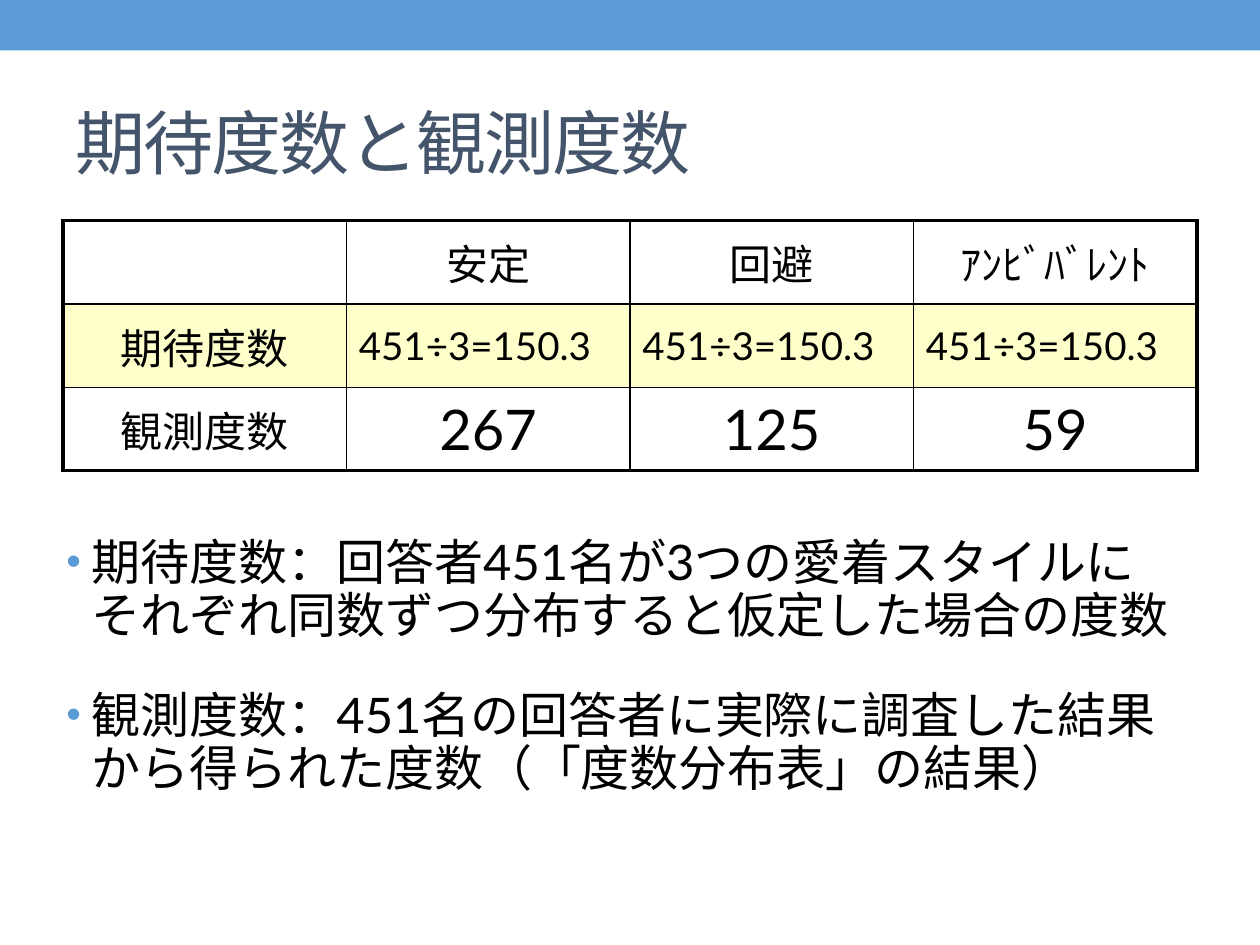
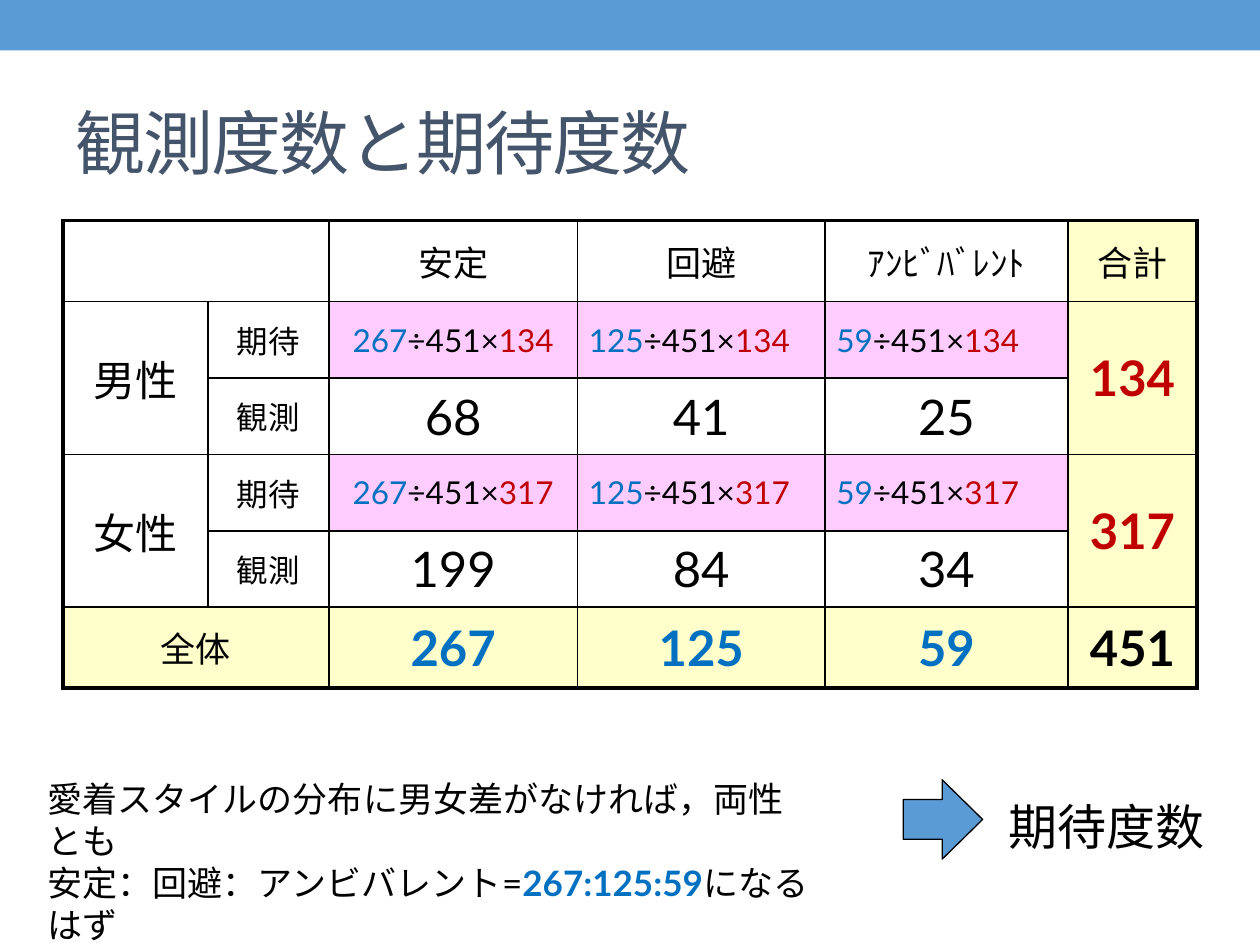
import pptx
import pptx.util
import pptx.dml.color
import pptx.enum.shapes
import pptx.enum.text
from lxml import etree
from pptx.util import Cm, Pt

RGB = pptx.dml.color.RGBColor
ALIGN = pptx.enum.text.PP_ALIGN
ANCHOR = pptx.enum.text.MSO_ANCHOR
SHAPE = pptx.enum.shapes.MSO_SHAPE

BLACK = RGB(0x00, 0x00, 0x00)
ACCENT = RGB(0x5B, 0x9B, 0xD5)
TITLE = RGB(0x44, 0x54, 0x6A)
BLUE = RGB(0x00, 0x70, 0xC0)
RED = RGB(0xC0, 0x00, 0x00)
CREAM = RGB(0xFF, 0xFF, 0xCC)
PINK = RGB(0xFF, 0xCC, 0xFF)
FONT = "Lato"

SLIDE_W, SLIDE_H = 25.4, 19.05
MARGIN = 1.27
TABLE_TOP = 4.45
TABLE_W = SLIDE_W - 2 * MARGIN
THIN, THICK = 1, 2.25

STYLES = ["安定", "回避", "ｱﾝﾋﾞﾊﾞﾚﾝﾄ"]
STYLE_TOTALS = [267, 125, 59]
GRAND_TOTAL = 451
GENDERS = [("男性", 134, [68, 41, 25]), ("女性", 317, [199, 84, 34])]

DEFINITIONS = [
    "期待度数：回答者451名が3つの愛着スタイルに\nそれぞれ同数ずつ分布すると仮定した場合の度数",
    "観測度数：451名の回答者に実際に調査した結果から得られた度数（「度数分布表」の結果）",
]
ASSUMPTION = [
    [("愛着スタイルの分布に男女差がなければ，両性とも", BLACK, False)],
    [("安定：回避：アンビバレント=", BLACK, False), ("267:125:59", BLUE, True),
     ("になるはず", BLACK, False)],
]


def set_font(font, size, color=BLACK, bold=False, name=FONT):
    font.name, font.size, font.bold = name, Pt(size), bold
    font.color.rgb = color


def add_runs(p, runs, size):
    """Fill a paragraph with (text, colour, bold) runs of one size."""
    p.font.name, p.font.size = FONT, Pt(size)
    for text, color, bold in runs:
        r = p.add_run()
        r.text = text
        r.font.color.rgb, r.font.bold = color, bold


def add_text_frame(s, x, y, w, h, wrap=True):
    tf = s.shapes.add_textbox(Cm(x), Cm(y), Cm(w), Cm(h)).text_frame
    tf.word_wrap = wrap
    return tf


def add_shape(s, kind, x, y, w, h):
    sp = s.shapes.add_shape(kind, Cm(x), Cm(y), Cm(w), Cm(h))
    sp.shadow.inherit = False
    sp.fill.solid()
    sp.fill.fore_color.rgb = ACCENT
    return sp


def add_slide(prs, title):
    """Add a slide with the top band and the title."""
    s = prs.slides.add_slide(prs.slide_layouts[6])
    add_shape(s, SHAPE.RECTANGLE, 0, 0, SLIDE_W, 1.02).line.fill.background()
    tf = add_text_frame(s, MARGIN, 1.47, TABLE_W, 2.75)
    tf.vertical_anchor = ANCHOR.MIDDLE
    p = tf.paragraphs[0]
    p.text = title
    set_font(p.font, 40, TITLE)
    p.runs[0].font._element.set("spc", "-100")
    return s


def set_borders(cell, widths):
    """Draw black borders; widths are in points: left, right, top, bottom."""
    tc_pr = cell._tc.get_or_add_tcPr()
    ns = pptx.oxml.ns.qn
    for i, (tag, width) in enumerate(zip(("a:lnL", "a:lnR", "a:lnT", "a:lnB"), widths)):
        ln = etree.Element(ns(tag), w=str(Pt(width)))
        fill = etree.SubElement(ln, ns("a:solidFill"))
        etree.SubElement(fill, ns("a:srgbClr"), val=str(BLACK))
        tc_pr.insert(i, ln)


def cell_spec(text, size, fill=None, color=BLACK, bold=False, align=ALIGN.CENTER):
    """Describe a cell; text is a string or a list of (text, colour, bold) runs."""
    runs = text if isinstance(text, list) else [(str(text), color, bold)]
    return runs, size, fill, align


def add_table(s, cells, widths, heights, merges=(), side=0.25):
    n_rows, n_cols = len(heights), len(widths)
    table = s.shapes.add_table(n_rows, n_cols, Cm(MARGIN), Cm(TABLE_TOP),
                               Cm(sum(widths)), Cm(sum(heights))).table
    table.first_row = table.horz_banding = False
    for column, width in zip(table.columns, widths):
        column.width = Cm(width)
    for row, height in zip(table.rows, heights):
        row.height = Cm(height)
    for i, row in enumerate(cells):
        for j, spec in enumerate(row):
            cell = table.cell(i, j)
            cell.vertical_anchor = ANCHOR.MIDDLE
            cell.margin_left = cell.margin_right = Cm(side)
            cell.fill.background()
            if spec:
                runs, size, fill, align = spec
                p = cell.text_frame.paragraphs[0]
                p.alignment = align
                add_runs(p, runs, size)
                if fill:
                    cell.fill.solid()
                    cell.fill.fore_color.rgb = fill
            edges = (j == 0, j == n_cols - 1, i == 0, i == n_rows - 1)
            set_borders(cell, [THICK if edge else THIN for edge in edges])
    for top, left, bottom, right in merges:
        table.cell(top, left).merge(table.cell(bottom, right))


def add_definitions(s):
    tf = add_text_frame(s, 1.09, 10.72, 23.19, 7.01)
    ns = pptx.oxml.ns.qn
    for i, text in enumerate(DEFINITIONS):
        p = tf.add_paragraph() if i else tf.paragraphs[0]
        p.text = text
        p.line_spacing = 0.9
        if i:
            p.space_before = Pt(27)
        p_pr = p._p.get_or_add_pPr()
        p_pr.set("marL", str(Cm(0.51)))
        p_pr.set("indent", str(Cm(-0.51)))
        color = etree.SubElement(p_pr, ns("a:buClr"))
        etree.SubElement(color, ns("a:srgbClr"), val=str(ACCENT))
        etree.SubElement(p_pr, ns("a:buSzPct"), val="85000")
        etree.SubElement(p_pr, ns("a:buFont"), typeface="Arial")
        etree.SubElement(p_pr, ns("a:buChar"), char="•")
        set_font(p.font, 28)


def build_one_way(prs):
    s = add_slide(prs, "期待度数と観測度数")
    formula = f"{GRAND_TOTAL}÷3={GRAND_TOTAL / 3:.1f}"
    cells = [
        [None] + [cell_spec(name, 24) for name in STYLES],
        [cell_spec("期待度数", 24, CREAM)]
        + [cell_spec(formula, 22, CREAM, align=ALIGN.LEFT)] * len(STYLES),
        [cell_spec("観測度数", 24)] + [cell_spec(n, 32) for n in STYLE_TOTALS],
    ]
    add_table(s, cells, [TABLE_W / 4] * 4, [1.68] * 3)
    add_definitions(s)


def build_two_way(prs):
    s = add_slide(prs, "観測度数と期待度数")
    cells = [[None, None] + [cell_spec(name, 20) for name in STYLES]
             + [cell_spec("合計", 20, CREAM)]]
    merges = [(0, 0, 0, 1), (5, 0, 5, 1)]
    for gender, total, observed in GENDERS:
        top = len(cells)
        merges += [(top, 0, top + 1, 0), (top, 5, top + 1, 5)]
        expected = [
            cell_spec([(str(n), BLUE, False), (f"÷{GRAND_TOTAL}×", BLACK, False),
                       (str(total), RED, False)], 18, PINK,
                      align=ALIGN.LEFT if k else ALIGN.CENTER)
            for k, n in enumerate(STYLE_TOTALS)]
        cells.append([cell_spec(gender, 24), cell_spec("期待", 18), *expected,
                      cell_spec(total, 28, CREAM, RED, True)])
        cells.append([None, cell_spec("観測", 18),
                      *[cell_spec(n, 28) for n in observed], None])
    cells.append([cell_spec("全体", 20, CREAM), None]
                 + [cell_spec(n, 28, CREAM, BLUE, True) for n in STYLE_TOTALS]
                 + [cell_spec(GRAND_TOTAL, 28, CREAM, bold=True)])
    add_table(s, cells, [2.92, 2.44, 5.01, 4.99, 4.9, 2.6],
              [1.63] + [1.54] * 4 + [1.63], merges, side=0.23)

    tf = add_text_frame(s, 0.71, 15.54, 15.85, 1.96)
    for i, runs in enumerate(ASSUMPTION):
        add_runs(tf.add_paragraph() if i else tf.paragraphs[0], runs, 20)

    arrow = add_shape(s, SHAPE.RIGHT_ARROW, 18.21, 15.72, 1.6, 1.6)
    arrow.adjustments[1] = 0.51
    arrow.line.color.rgb = BLACK
    arrow.line.width = Pt(0.75)

    p = add_text_frame(s, 20.09, 15.93, 4.47, 1.45, wrap=False).paragraphs[0]
    p.text = "期待度数"
    set_font(p.font, 28, name="Calibri")


def main():
    prs = pptx.Presentation()
    prs.slide_width, prs.slide_height = Cm(SLIDE_W), Cm(SLIDE_H)
    build_one_way(prs)
    build_two_way(prs)
    prs.save("out.pptx")


if __name__ == "__main__":
    main()
